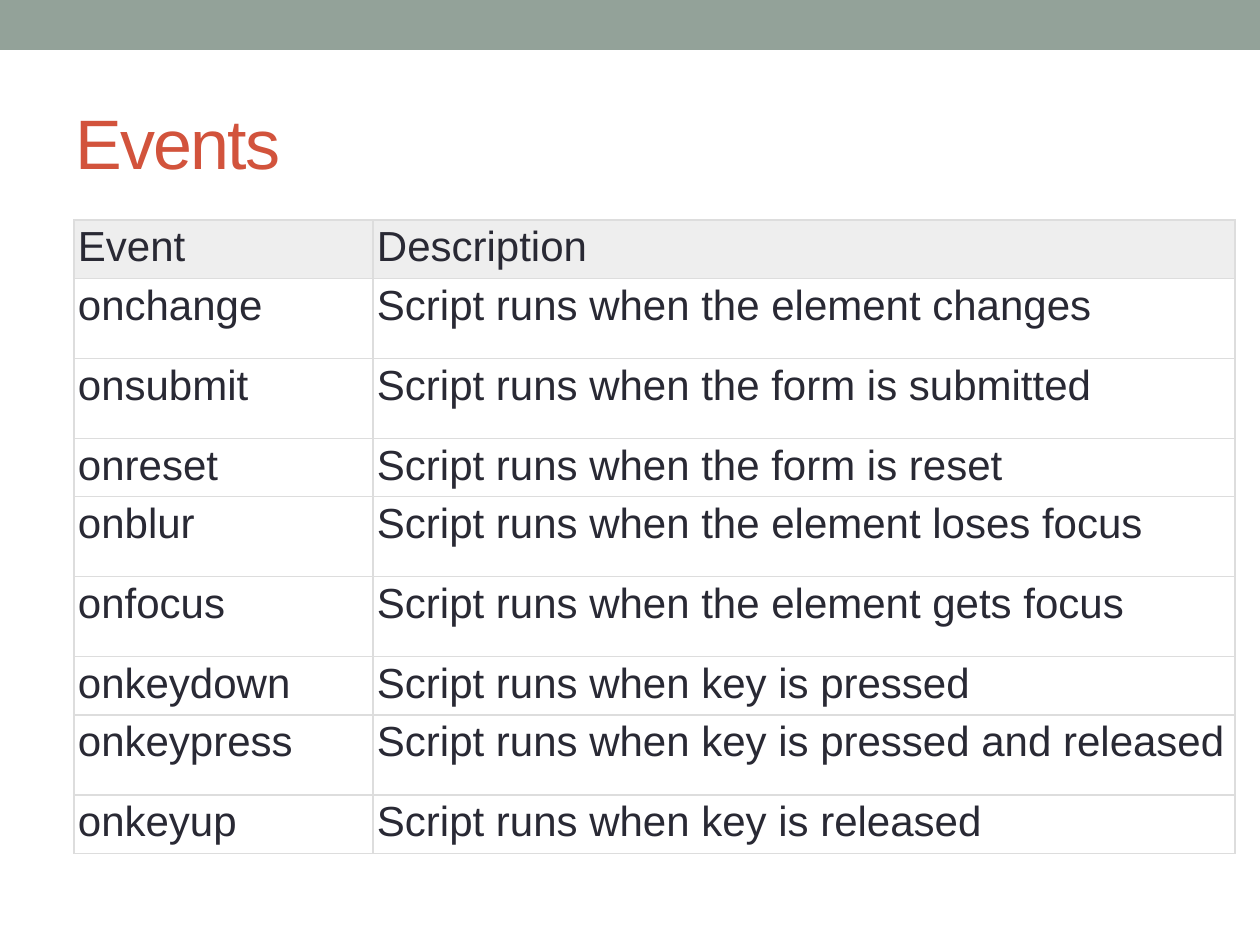
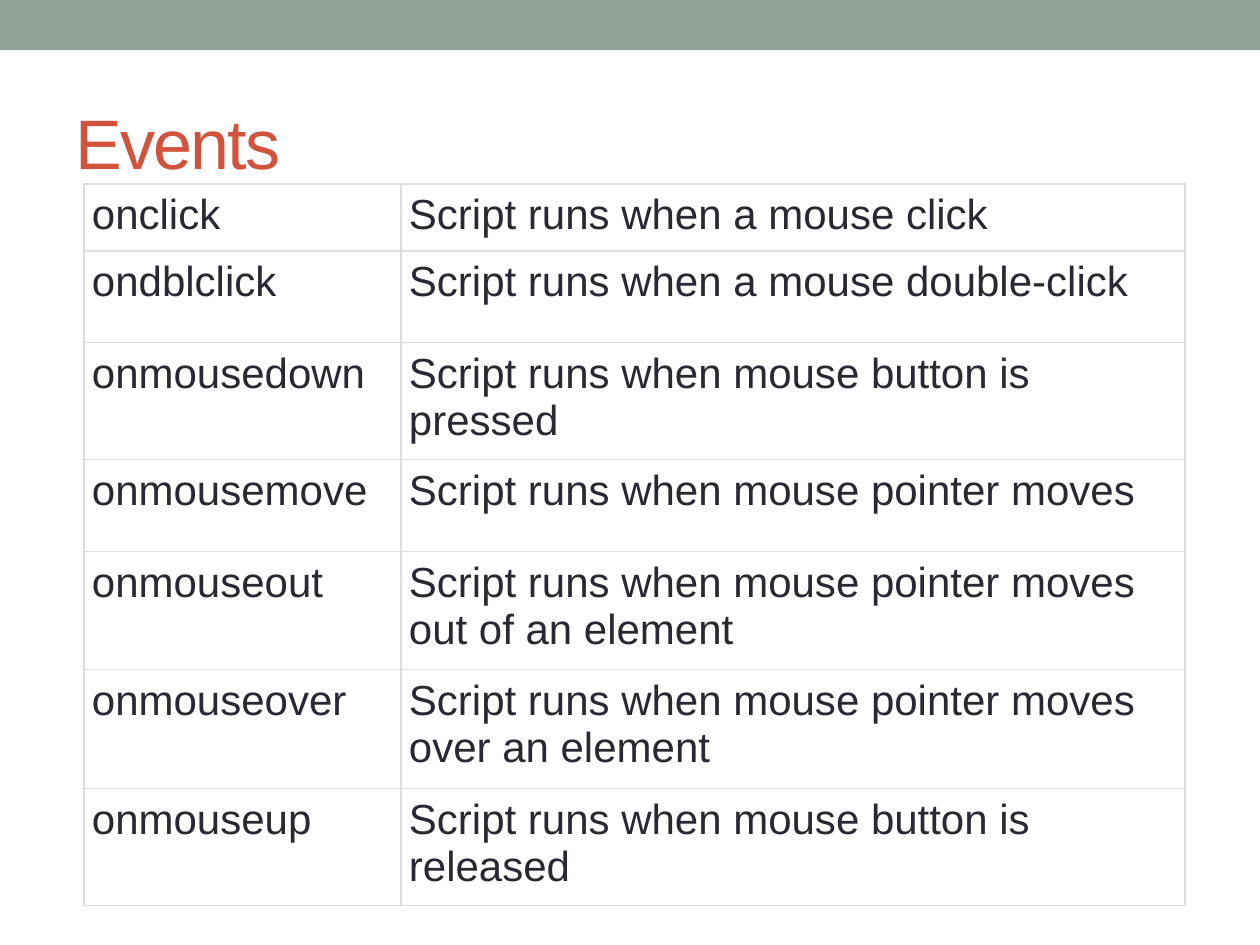
from dataclasses import dataclass

from lxml.etree import SubElement
from pptx import Presentation
from pptx.dml.color import RGBColor as RGB
from pptx.enum.shapes import MSO_SHAPE as SHAPE
from pptx.enum.text import MSO_ANCHOR as ANCHOR
from pptx.oxml.ns import qn
from pptx.util import Emu, Pt


@dataclass(frozen=True)
class Theme:
    """Colours, font and type sizes shared by the slides."""
    font: str = "Arial"
    band: str = "93A299"
    title: str = "D2533C"
    text: str = "292934"
    header: str = "EEEEEE"
    border: str = "DDDDDD"
    title_size: int = 40
    table_size: int = 24
    title_spacing: int = -100
    border_width: float = 0.75


THEME = Theme()
PX_PER_INCH = 126
SLIDE_W, SLIDE_H = 1260, 945
BAND_H = 50

ELEMENT_EVENTS = [
    ("Event", "Description"),
    ("onchange", "Script runs when the element changes"),
    ("onsubmit", "Script runs when the form is submitted"),
    ("onreset", "Script runs when the form is reset"),
    ("onblur", "Script runs when the element loses focus"),
    ("onfocus", "Script runs when the element gets focus"),
    ("onkeydown", "Script runs when key is pressed"),
    ("onkeypress", "Script runs when key is pressed and released"),
    ("onkeyup", "Script runs when key is released"),
]
MOUSE_EVENTS = [
    ("onclick", "Script runs when a mouse click"),
    ("ondblclick", "Script runs when a mouse double-click"),
    ("onmousedown", "Script runs when mouse button is pressed"),
    ("onmousemove", "Script runs when mouse pointer moves"),
    ("onmouseout", "Script runs when mouse pointer moves out of an element"),
    ("onmouseover", "Script runs when mouse pointer moves over an element"),
    ("onmouseup", "Script runs when mouse button is released"),
]


def px(n):
    """Turn picture pixels into EMU."""
    return Emu(round(n * 914400 / PX_PER_INCH))


def add_run(p, text, size, color):
    """Add one styled run to a paragraph."""
    r = p.add_run()
    r.text = text
    r.font.name = THEME.font
    r.font.size = Pt(size)
    r.font.bold = False
    r.font.color.rgb = RGB.from_string(color)
    return r


def add_band(s):
    """Draw the band along the top edge."""
    sp = s.shapes.add_shape(SHAPE.RECTANGLE, 0, 0, px(SLIDE_W), px(BAND_H))
    sp.shadow.inherit = False
    sp.fill.solid()
    sp.fill.fore_color.rgb = RGB.from_string(THEME.band)
    sp.line.fill.background()


def add_title(s, text):
    """Add the slide title."""
    tf = s.shapes.add_textbox(px(63), px(73), px(1134), px(136)).text_frame
    tf.word_wrap = True
    tf.vertical_anchor = ANCHOR.MIDDLE
    r = add_run(tf.paragraphs[0], text, THEME.title_size, THEME.title)
    r.font._element.set("spc", str(THEME.title_spacing))


def set_borders(cell):
    """Put a thin line on all four sides of a cell."""
    tc_pr = cell._tc.get_or_add_tcPr()
    for side in ("a:lnL", "a:lnR", "a:lnT", "a:lnB"):
        ln = SubElement(tc_pr, qn(side), w=str(Pt(THEME.border_width)))
        fill = SubElement(ln, qn("a:solidFill"))
        SubElement(fill, qn("a:srgbClr"), val=THEME.border)


def fill_cell(cell, text, inset, is_header):
    """Set the text, margins, borders and fill of a cell."""
    cell.margin_left = cell.margin_right = px(inset)
    cell.margin_top = cell.margin_bottom = px(inset)
    add_run(cell.text_frame.paragraphs[0], text, THEME.table_size, THEME.text)
    set_borders(cell)
    if is_header:
        cell.fill.solid()
        cell.fill.fore_color.rgb = RGB.from_string(THEME.header)
    else:
        cell.fill.background()


def add_event_table(s, events, left, top, widths, heights, inset, has_header):
    """Add a two-column table of events and descriptions."""
    frame = s.shapes.add_table(len(events), len(widths), px(left), px(top),
                               px(sum(widths)), px(sum(heights)))
    table = frame.table
    table.first_row = has_header
    table.horz_banding = False
    for column, width in zip(table.columns, widths):
        column.width = px(width)
    for i, (row, height, texts) in enumerate(zip(table.rows, heights, events)):
        row.height = px(height)
        for cell, text in zip(row.cells, texts):
            fill_cell(cell, text, inset, has_header and i == 0)


def add_slide(prs, title):
    """Add a blank slide with the band and a title."""
    s = prs.slides.add_slide(prs.slide_layouts[6])
    add_band(s)
    add_title(s, title)
    return s


def main():
    """Build and save the presentation."""
    prs = Presentation()
    prs.slide_width, prs.slide_height = px(SLIDE_W), px(SLIDE_H)
    add_event_table(add_slide(prs, "Events"), ELEMENT_EVENTS, 74, 220,
                    (299, 862), (54, 80, 80, 58, 80, 80, 58, 80, 58), 4, True)
    add_event_table(add_slide(prs, "Events"), MOUSE_EVENTS, 84, 184,
                    (317, 784), (67, 92, 108, 92, 118, 119, 108), 8, False)
    prs.save("out.pptx")


main()
